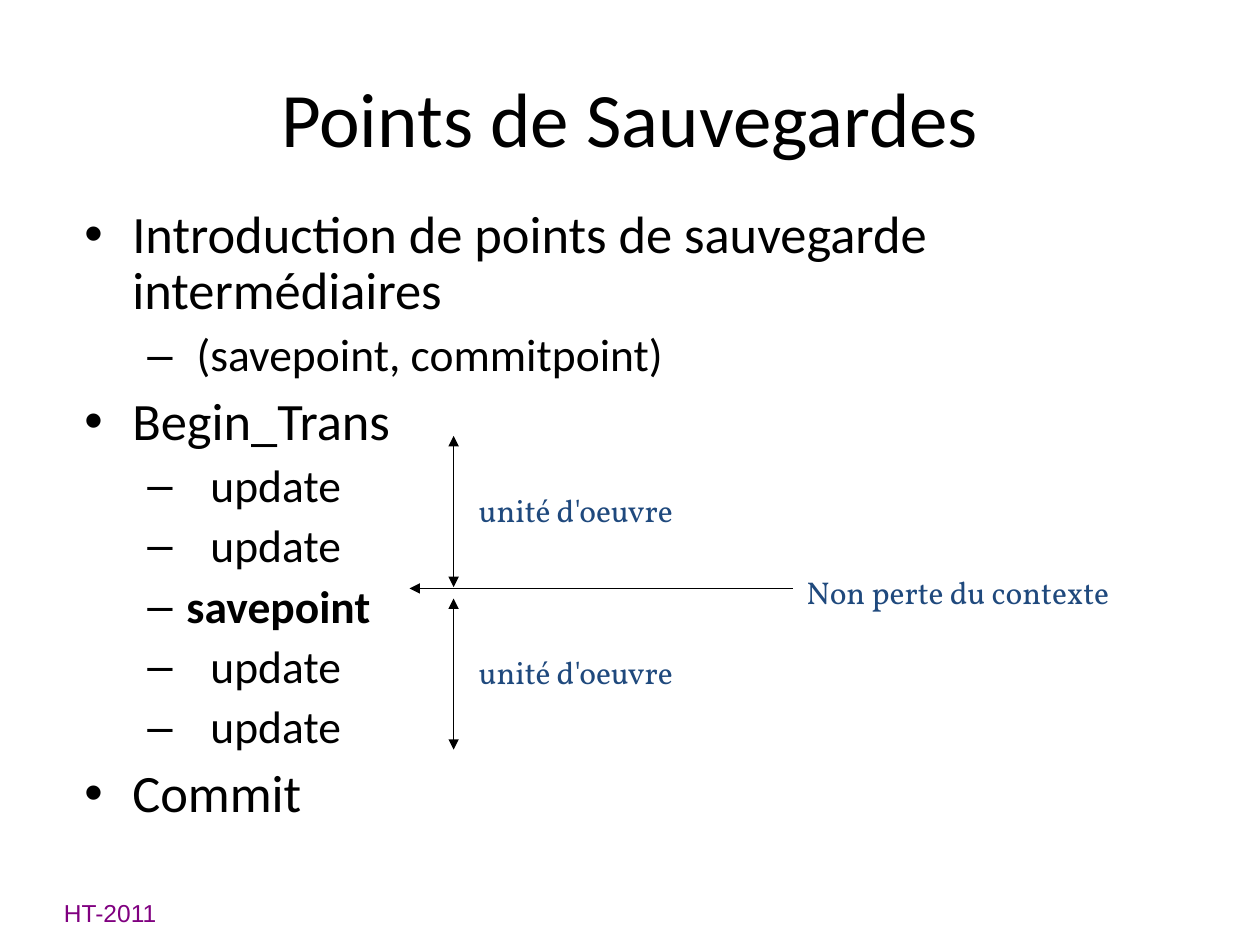
from lxml.etree import SubElement
from pptx import Presentation
from pptx.dml.color import RGBColor
from pptx.enum.shapes import MSO_CONNECTOR
from pptx.enum.text import MSO_ANCHOR, PP_ALIGN
from pptx.oxml.ns import qn
from pptx.util import Inches, Pt

COLORS = {"ink": "000000", "note": "1F497D", "foot": "800080"}
BODY = [
    ("Introduction de points de sauvegarde intermédiaires", "main"),
    ("(savepoint, commitpoint)", "note"),
    ("Begin_Trans", "main"),
    ("update", "step"),
    ("update", "step"),
    ("savepoint", "mark"),
    ("update", "step"),
    ("update", "step"),
    ("Commit", "main"),
]
LEVELS = {
    "main": dict(mark="•", left=0.38, hang=0.38, size=30, before=7.5),
    "note": dict(mark="–", left=0.89, hang=0.39, size=26, before=6.5, level=1),
    "step": dict(mark="–", left=1, hang=0.5, size=26, before=6.5, level=1),
    "mark": dict(mark="–", left=0.81, hang=0.31, size=26, before=6.5, level=1, bold=True),
}


def add_frame(slide, box, pad=(0.09, 0.05, 0.09, 0.05), wrap=True, anchor=MSO_ANCHOR.TOP):
    frame = slide.shapes.add_textbox(*map(Inches, box)).text_frame
    frame.word_wrap = wrap
    frame.vertical_anchor = anchor
    frame.margin_left, frame.margin_top, frame.margin_right, frame.margin_bottom = map(Inches, pad)
    return frame


def write(para, text, size=18, font="Calibri", color="ink", bold=False,
          align=PP_ALIGN.LEFT, space=1.0, before=0, level=0, mark=None, left=0, hang=0):
    para.alignment = align
    para.line_spacing = space
    para.space_before = Pt(before)
    para.level = level
    run = para.add_run()
    run.text = text
    run.font.size = Pt(size)
    run.font.name = font
    run.font.bold = bold
    run.font.color.rgb = RGBColor.from_string(COLORS[color])
    if mark:
        props = para._p.get_or_add_pPr()
        props.set("marL", str(Inches(left)))
        props.set("indent", str(-Inches(hang)))
        SubElement(props, qn("a:buFont")).set("typeface", "Arial")
        SubElement(props, qn("a:buChar")).set("char", mark)


def add_arrow(slide, start, end, both=False):
    line = slide.shapes.add_connector(MSO_CONNECTOR.STRAIGHT, *map(Inches, start + end))
    line.line.width = Pt(1)
    line.line.color.rgb = RGBColor.from_string(COLORS["ink"])
    stroke = line.line._get_or_add_ln()
    for tip in ("a:headEnd", "a:tailEnd") if both else ("a:tailEnd",):
        SubElement(stroke, qn(tip)).set("type", "triangle")
    SubElement(line._element.spPr, qn("a:effectLst"))


def add_label(slide, box):
    def put(text):
        frame = add_frame(slide, box, pad=(0.07, 0.03, 0.07, 0.03), wrap=False)
        write(frame.paragraphs[0], text, font="Vollkorn", color="note", space=0.92)
    return put


def add_title(slide, box):
    frame = add_frame(slide, box, anchor=MSO_ANCHOR.MIDDLE)
    write(frame.paragraphs[0], "Points de Sauvegardes", size=44, align=PP_ALIGN.CENTER)


def add_body(slide, box):
    frame = add_frame(slide, box)
    for i, (text, kind) in enumerate(BODY):
        para = frame.add_paragraph() if i else frame.paragraphs[0]
        write(para, text, space=0.9, **LEVELS[kind])


def add_unit(slide, box):
    left, top, width, height = box
    add_arrow(slide, (left, top), (left, top + height), both=True)
    add_label(slide, (left + 0.13, top + 0.435, width - 0.13, 0.33))("unité d'oeuvre")


def add_context(slide, box):
    left, top, width, height = box
    reach = 3.04
    add_arrow(slide, (left + reach, top + 0.12), (left, top + 0.12))
    add_label(slide, (left + reach + 0.04, top, width - reach - 0.04, height))("Non perte du contexte")


def add_footer(slide, box):
    frame = add_frame(slide, box, pad=(0.1, 0.05, 0.1, 0), wrap=False)
    write(frame.paragraphs[0], "HT-2011", size=14, font="Arial", color="foot")


def main():
    deck = Presentation()
    deck.slide_width, deck.slide_height = Inches(10), Inches(7.5)
    slide = deck.slides.add_slide(deck.slide_layouts[6])
    add_footer(slide, (0.41, 7.08, 0.96, 0.28))
    add_title(slide, (0.5, 0.3, 9, 1.25))
    add_body(slide, (0.58, 1.6, 8.62, 5.16))
    for top in (3.46, 4.75):
        add_unit(slide, (3.6, top, 2, 1.2))
    add_context(slide, (3.25, 4.55, 5.87, 0.33))
    deck.save("out.pptx")


if __name__ == "__main__":
    main()
